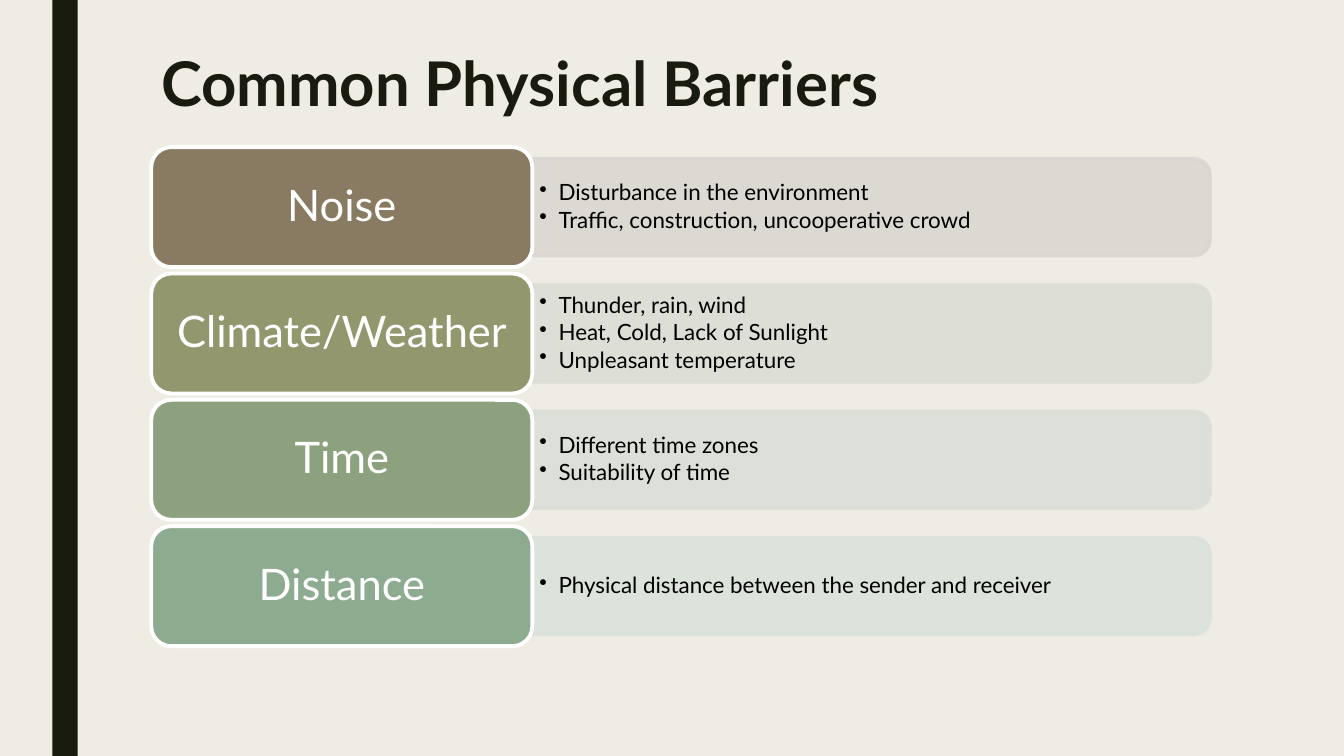
import pptx
import pptx.util
import pptx.dml.color
import pptx.enum.shapes
import pptx.enum.text
import pptx.oxml.ns
from lxml import etree

Inches = pptx.util.Inches
Pt = pptx.util.Pt
SHAPE = pptx.enum.shapes.MSO_SHAPE
ALIGN = pptx.enum.text.PP_ALIGN
MIDDLE = pptx.enum.text.MSO_ANCHOR.MIDDLE
qn = pptx.oxml.ns.qn

FONT = "Lato"
COLORS = {"background": "EFEDE3", "dark": "191B0E", "white": "FFFFFF", "black": "000000"}

# label, label fill, bar fill, details
BARRIERS = [
    ("Noise", "897B61", "DAD7D2",
     ["Disturbance in the environment", "Traffic, construction, uncooperative crowd"]),
    ("Climate/Weather", "92976D", "DCDDD5",
     ["Thunder, rain, wind", "Heat, Cold, Lack of Sunlight", "Unpleasant temperature"]),
    ("Time", "8CA17D", "DBDFD8",
     ["Different time zones", "Suitability of time"]),
    ("Distance", "8DAB8E", "DBE2DB",
     ["Physical distance between the sender and receiver"]),
]

LEFT, TOP = 1.5, 1.46
LABEL_W, LABEL_H = 3.78, 1.19
BAR_W, BAR_H = 6.72, 0.96
ROW_STEP = 3.76 / 3


def rgb(color):
    return pptx.dml.color.RGBColor.from_string(color)


def add_block(slide, kind, left, top, width, height, fill, line=None):
    sp = slide.shapes.add_shape(kind, Inches(left), Inches(top), Inches(width), Inches(height))
    sp.shadow.inherit = False
    sp.fill.solid()
    sp.fill.fore_color.rgb = rgb(fill)
    if line:
        sp.line.color.rgb = rgb(line)
        sp.line.width = Pt(2.75)
    else:
        sp.line.fill.background()
    return sp


def fill_text(sp, lines, size, color, margins, spacing=0.9):
    """Write one paragraph per line, centred vertically, and return the paragraphs."""
    tf = sp.text_frame
    tf.word_wrap = True
    tf.vertical_anchor = MIDDLE
    tf.margin_left = tf.margin_right = Inches(margins[0])
    tf.margin_top = tf.margin_bottom = Inches(margins[1])
    tf.text = "\n".join(lines)
    for p in tf.paragraphs:
        p.font.name = FONT
        p.font.size = Pt(size)
        p.font.color.rgb = rgb(color)
        p.line_spacing = spacing
    return tf.paragraphs


def add_text(slide, left, top, width, height, *text):
    sp = slide.shapes.add_textbox(Inches(left), Inches(top), Inches(width), Inches(height))
    return fill_text(sp, *text)


def set_bullet(p):
    pPr = p._p.get_or_add_pPr()
    pPr.set("marL", str(Inches(0.19)))
    pPr.set("indent", str(-Inches(0.19)))
    bullet = etree.Element(qn("a:buChar"), char="•")
    pPr.insert_element_before(bullet, "a:tabLst", "a:defRPr", "a:extLst")


def add_bar(slide, center_y, color):
    """Add a bar with its two right corners rounded: a turned upright shape."""
    center_x = LEFT + LABEL_W + BAR_W / 2
    sp = add_block(slide, SHAPE.ROUND_2_SAME_RECTANGLE, center_x - BAR_H / 2,
                   center_y - BAR_W / 2, BAR_H, BAR_W, color, color)
    sp.rotation = 90
    for clr in sp._element.spPr.iter(qn("a:srgbClr")):
        etree.SubElement(clr, qn("a:alpha"), val="90000")


def add_barrier(slide, top, label, label_color, bar_color, details):
    center_y = top + LABEL_H / 2
    add_bar(slide, center_y, bar_color)
    for p in add_text(slide, LEFT + LABEL_W, center_y - 0.43, 6.67, 0.86,
                      details, 16, COLORS["black"], (0.07, 0.03)):
        p.space_after = Pt(2.4)
        set_bullet(p)
    sp = add_block(slide, SHAPE.ROUNDED_RECTANGLE, LEFT, top, LABEL_W, LABEL_H,
                   label_color, COLORS["white"])
    for p in fill_text(sp, [label], 31, COLORS["white"], (0.13, 0.06)):
        p.alignment = ALIGN.CENTER


def main():
    prs = pptx.Presentation()
    prs.slide_width, prs.slide_height = Inches(13.33), Inches(7.5)
    slide = prs.slides.add_slide(prs.slide_layouts[6])
    slide.background.fill.solid()
    slide.background.fill.fore_color.rgb = rgb(COLORS["background"])

    add_block(slide, SHAPE.RECTANGLE, 0.52, 0, 0.25, 7.5, COLORS["dark"])
    title = add_text(slide, LEFT, 0.47, 10.5, 0.79, ["Common Physical Barriers"],
                     44, COLORS["dark"], (0.1, 0.05), 0.89)
    title[0].font.bold = True

    for i, barrier in enumerate(BARRIERS):
        add_barrier(slide, TOP + i * ROW_STEP, *barrier)

    prs.save("out.pptx")


if __name__ == "__main__":
    main()
